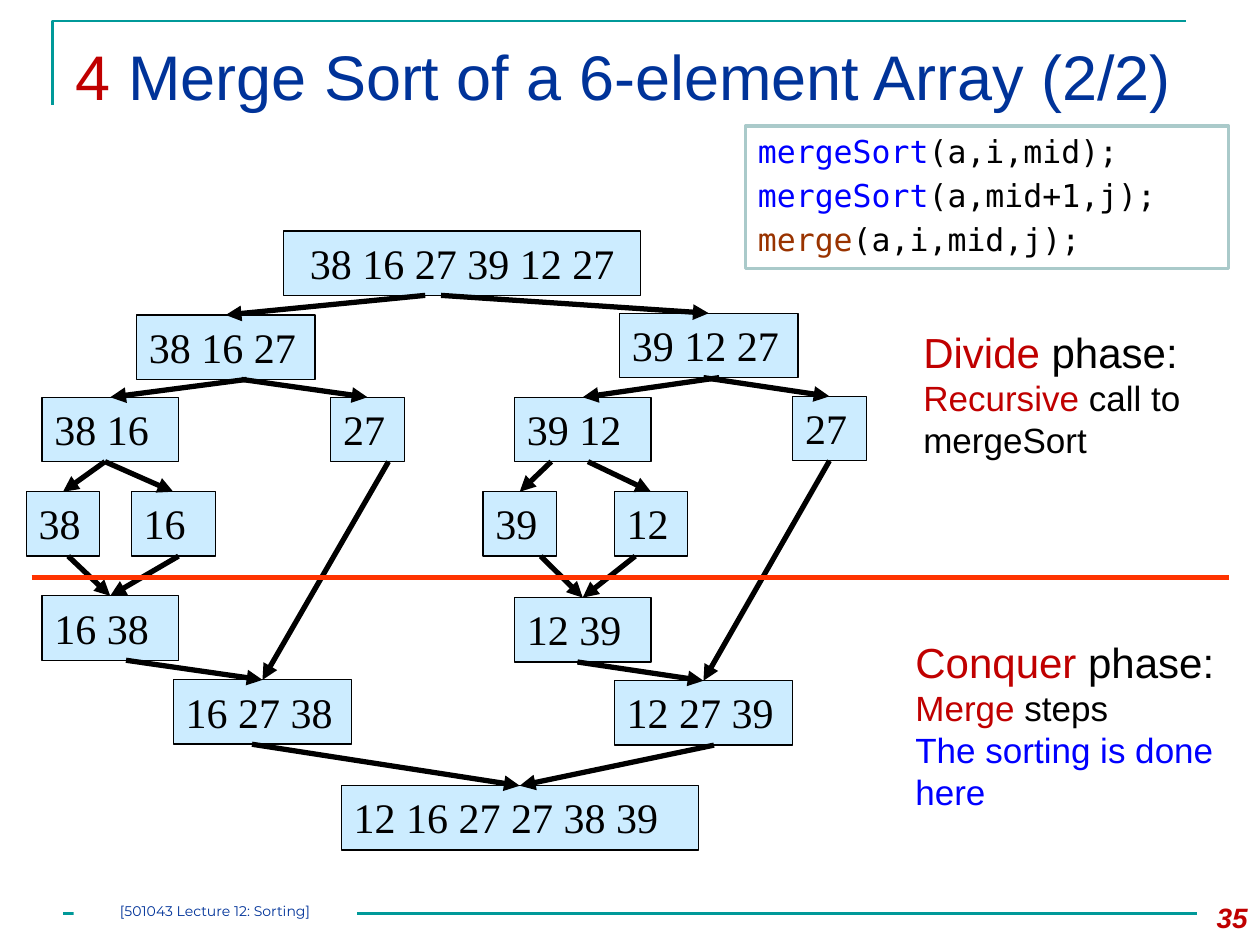
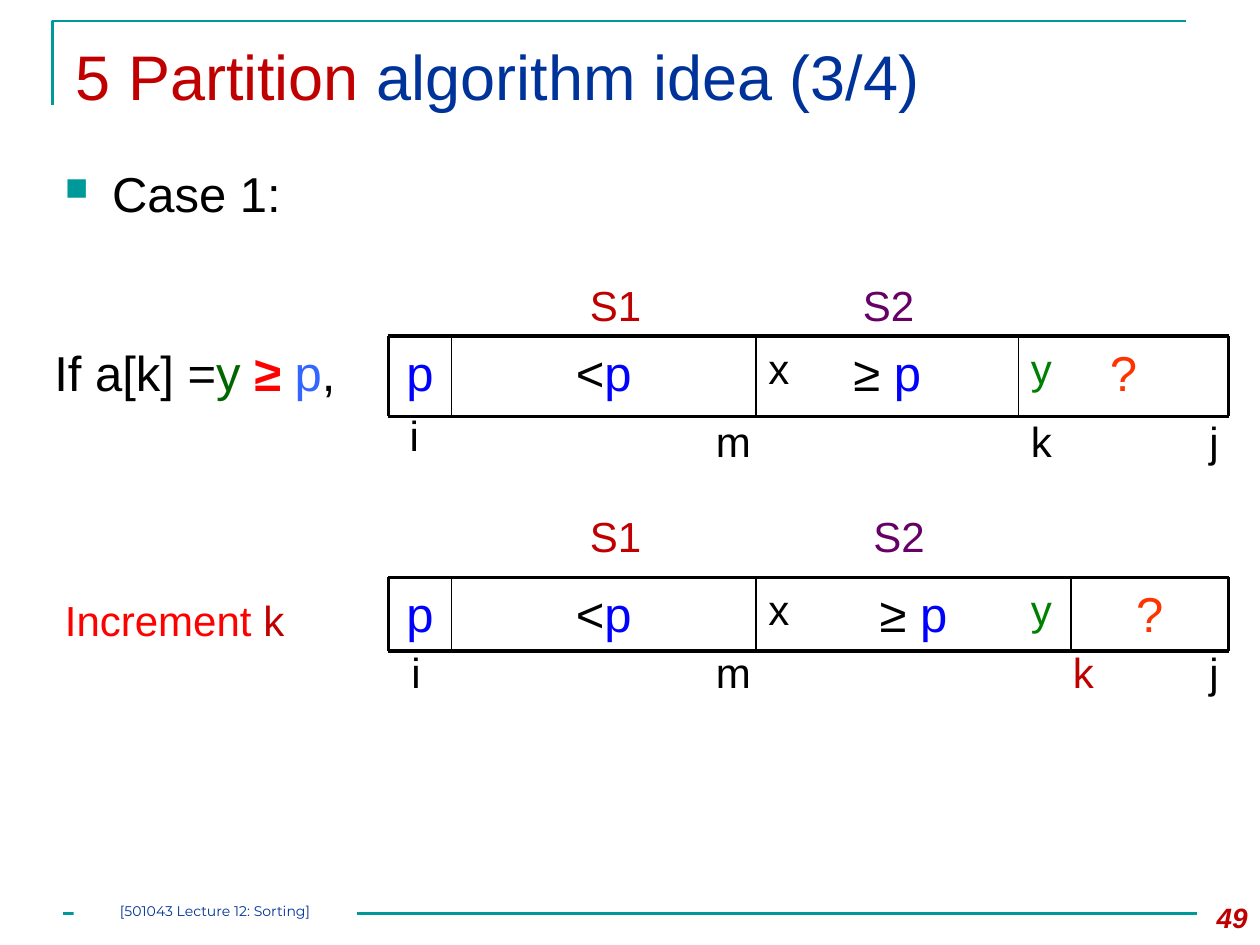
from dataclasses import dataclass

from lxml.etree import SubElement as Sub
from pptx import Presentation
from pptx.dml.color import RGBColor as RGB
from pptx.enum.shapes import MSO_CONNECTOR as Conn, MSO_SHAPE as Form
from pptx.enum.text import MSO_ANCHOR as Anchor, MSO_AUTO_SIZE as Fit, PP_ALIGN as Align
from pptx.oxml.ns import qn
from pptx.util import Pt


@dataclass(frozen=True)
class Theme:
    # colours
    black: str = "000000"
    white: str = "FFFFFF"
    teal: str = "009999"
    navy: str = "003399"
    crimson: str = "C00000"
    red: str = "FF0000"
    orange: str = "FF3300"
    blue: str = "0000FF"
    sky: str = "3366FF"
    pale: str = "CCECFF"
    edge: str = "AACACA"
    brown: str = "993300"
    pine: str = "006600"
    green: str = "008000"
    plum: str = "660066"
    # fonts
    sans: str = "Arial"
    serif: str = "Times New Roman"
    mono: str = "DejaVu Sans Mono"
    foot: str = "Montserrat"
    # type sizes
    head: int = 36
    lead: int = 28
    mid: int = 24
    small: int = 20
    code: int = 18
    page: int = 16
    tiny: int = 8


T = Theme()

# Merge tree: key -> text, left, top, width
HIGH = 36.8
NODES = {
    "all": ("38 16 27 39 12 27", 162, 132, 204),
    "left": ("38 16 27", 78, 180, 102),
    "right": ("39 12 27", 354, 179, 102),
    "pair L": ("38 16", 24, 227, 78),
    "last L": ("27", 189, 227, 42),
    "pair R": ("39 12", 294, 227, 78),
    "last R": ("27", 453, 226.5, 42),
    "38": ("38", 15, 281, 42),
    "16": ("16", 75, 281, 48),
    "39": ("39", 276, 281, 42),
    "12": ("12", 351, 281, 42),
    "sort L": ("16 38", 24, 340.5, 78),
    "sort R": ("12 39", 294, 341.5, 78),
    "half L": ("16 27 38", 99, 388.5, 102),
    "half R": ("12 27 39", 351, 389, 102),
    "done": ("12 16 27 27 38 39", 195, 449, 204),
}

# Arrows: source, x where it leaves (None: middle), target
ARROWS = [
    ("all", 243, "left"), ("all", 252, "right"),
    ("left", 141, "pair L"), ("left", 138, "last L"),
    ("right", 411, "pair R"), ("right", 402, "last R"),
    ("pair L", 60, "38"), ("pair L", 60, "16"),
    ("pair R", 315, "39"), ("pair R", 336, "12"),
    ("38", 39, "sort L"), ("16", 102, "sort L"),
    ("39", 309, "sort R"), ("12", 363, "sort R"),
    ("sort L", 72, "half L"), ("last L", 222, "half L"),
    ("sort R", 330, "half R"), ("last R", None, "half R"),
    ("half L", 144, "done"), ("half R", 408, "done"),
]

# Widths of the one-line labels of a strip
WIDE = {"i": 20, "j": 21.5, "m": 34.8, "S1": 44, "S2": 44}


def write(frame, lines, size, font=T.sans, align=Align.LEFT, gap=0,
          bold=False, slant=False):
    """Each line is a list of runs: (text, colour[, size[, bold]])."""
    frame.auto_size = Fit.NONE
    frame.vertical_anchor = Anchor.TOP
    for n, runs in enumerate(lines):
        para = frame.add_paragraph() if n else frame.paragraphs[0]
        para.alignment = align
        if n and gap:
            para.space_before = Pt(gap)
        for text, tint, *more in runs:
            run = para.add_run()
            run.text = text
            run.font.name = font
            run.font.size = Pt(more[0] if more else size)
            run.font.bold = more[1] if len(more) > 1 else bold
            run.font.italic = slant
            run.font.color.rgb = RGB.from_string(tint)


def label(slide, area, lines, size, wrap=True, **style):
    box = slide.shapes.add_textbox(*map(Pt, area))
    box.text_frame.word_wrap = wrap
    write(box.text_frame, lines, size, **style)
    return box


def panel(slide, area, fill, edge=None, width=0.75):
    box = slide.shapes.add_shape(Form.RECTANGLE, *map(Pt, area))
    box.shadow.inherit = False
    box.fill.solid()
    box.fill.fore_color.rgb = RGB.from_string(fill)
    if edge:
        box.line.color.rgb = RGB.from_string(edge)
        box.line.width = Pt(width)
    else:
        box.line.fill.background()
    return box


def rule(slide, x1, y1, x2, y2, tint=T.black, width=1.0):
    line = slide.shapes.add_connector(Conn.STRAIGHT, *map(Pt, (x1, y1, x2, y2)))
    line.line.color.rgb = RGB.from_string(tint)
    line.line.width = Pt(width)
    Sub(line._element.spPr, qn("a:effectLst"))
    return line


def arrow(slide, boxes, start, x, end):
    _, left, top, width = NODES[start]
    _, goal, low, span = NODES[end]
    line = rule(slide, x or left + width / 2, top + HIGH,
                goal + span / 2, low, width=3)
    if x is None:
        line.begin_connect(boxes[start], 2)
    line.end_connect(boxes[end], 0)
    Sub(line.line._get_or_add_ln(), qn("a:tailEnd"), type="triangle")


def bullet(para, indent):
    props = para._p.get_or_add_pPr()
    props.set("marL", str(Pt(indent)))
    props.set("indent", str(-Pt(indent)))
    Sub(Sub(props, qn("a:buClr")), qn("a:srgbClr"), val=T.teal)
    Sub(props, qn("a:buSzPct"), val="65000")
    Sub(props, qn("a:buChar"), char="■")


def page(deck, title, number):
    """Add a slide with the shared corner line, title and footer."""
    slide = deck.slides.add_slide(deck.slide_layouts[5])
    # corner line
    path = slide.shapes.build_freeform(Pt(30), Pt(60))
    path.add_line_segments([(Pt(30), Pt(12)), (Pt(678), Pt(12))], close=False)
    edge = path.convert_to_shape()
    edge.shadow.inherit = False
    edge.fill.background()
    edge.line.color.rgb = RGB.from_string(T.teal)
    edge.line.width = Pt(1.5)
    # title
    head = slide.shapes.title
    head.left, head.top, head.width, head.height = map(Pt, (36, 18, 660, 72))
    write(head.text_frame, [title], T.head)
    # footer
    rule(slide, 36, 522, 684, 522, T.teal, 1.5)
    foot = panel(slide, (42, 516, 162, 12), T.white)
    text = foot.text_frame
    text.margin_left = text.margin_right = text.margin_top = text.margin_bottom = 0
    write(text, [[("[501043 Lecture 12: Sorting]", T.navy)]], T.tiny,
          font=T.foot, align=Align.CENTER)
    label(slide, (672, 511, 48, 29), [[(number, T.crimson)]], T.page,
          align=Align.RIGHT, bold=True, slant=True)
    return slide


def tree(slide):
    boxes = {}
    for key, (text, left, top, width) in NODES.items():
        box = boxes[key] = panel(slide, (left, top, width, HIGH), T.pale, T.black)
        write(box.text_frame, [[(text, T.black)]], T.mid, font=T.serif,
              align=Align.CENTER if key == "all" else Align.LEFT)
    for link in ARROWS:
        arrow(slide, boxes, *link)


def strip(slide, top, high, cuts, marks):
    """Draw one array: its cells, its borders and the marks around it."""
    cells = [
        [("p", T.blue)],
        [("<", T.black), ("p", T.blue)],
        [("≥ ", T.black), ("p", T.blue)],
        [("?", T.orange)],
    ]
    for left, right, runs in zip(cuts, cuts[1:], cells):
        label(slide, (left, top, right - left, high), [runs], T.lead,
              align=Align.CENTER)
    for y in (top, top + high):
        rule(slide, cuts[0], y, cuts[-1], y, width=2.25)
    for x in cuts:
        outer = x in (cuts[0], cuts[-1])
        rule(slide, x, top, x, top + high, width=2.25 if outer else 1)
    for text, x, y, tint in marks:
        label(slide, (x, y, WIDE.get(text, 27), 36), [[(text, tint)]], T.mid,
              wrap=False)


def merge(deck):
    slide = page(deck, [("4 ", T.crimson),
                        ("Merge Sort of a 6-element Array (2/2)", T.navy)], "35")
    # code
    code = panel(slide, (426, 72, 276, 81.5), T.white, T.edge, 2)
    calls = [("mergeSort", T.blue, "(a,i,mid);"),
             ("mergeSort", T.blue, "(a,mid+1,j);"),
             ("merge", T.brown, "(a,i,mid,j);")]
    write(code.text_frame, [[(name, tint), (rest, T.black)]
                            for name, tint, rest in calls],
          T.code, font=T.mono, gap=3.6)
    # tree and the line between the phases
    tree(slide)
    rule(slide, 18, 330, 702, 330, T.orange, 3)
    # phases
    label(slide, (520.5, 183, 167, 84), [
        [("Divide ", T.crimson, T.mid), ("phase:", T.black, T.mid)],
        [("Recursive", T.crimson), (" call to", T.black)],
        [("mergeSort", T.black)],
    ], T.small, wrap=False)
    label(slide, (516, 360, 186, 108), [
        [("Conquer ", T.crimson, T.mid), ("phase:", T.black, T.mid)],
        [("Merge", T.crimson), (" steps", T.black)],
        [("The sorting is done here", T.blue)],
    ], T.small)


def split(deck):
    slide = page(deck, [("5 Partition", T.crimson),
                        (" algorithm idea (3/4)", T.navy)], "49")
    # case and its conditions
    case = label(slide, (30, 90, 672, 48), [[("Case 1:", T.black)]], T.lead)
    bullet(case.text_frame.paragraphs[0], 27)
    label(slide, (24, 192, 198, 48), [[
        ("If a[k] =", T.black), ("y ", T.pine), ("≥ ", T.red, T.lead, True),
        ("p", T.sky), (",", T.black)]], T.lead)
    label(slide, (30, 336, 143, 36),
          [[("Increment ", T.red), ("k", T.crimson)]], T.mid, wrap=False)
    # array before and after the step: top, height, third cut,
    # label row, S2 x, index row, i place, k x, k colour
    steps = [
        (192, 46, 582, 156, 486, 234, (227, 230.5), 582, T.black),
        (330, 42, 612, 288, 492, 366, (228, 366), 606, T.crimson),
    ]
    for top, high, cut, over, two, under, first, k, tint in steps:
        strip(slide, top, high, (222, 258, 432, cut, 702), [
            ("S1", 330, over, T.crimson), ("S2", two, over, T.plum),
            ("x", 432, top, T.black), ("y", 582, top, T.green),
            ("i", *first, T.black), ("m", 402, under, T.black),
            ("k", k, under, tint), ("j", 684, under, T.black),
        ])


def main():
    deck = Presentation()
    deck.slide_width, deck.slide_height = Pt(720), Pt(540)
    merge(deck)
    split(deck)
    deck.save("out.pptx")


if __name__ == "__main__":
    main()
